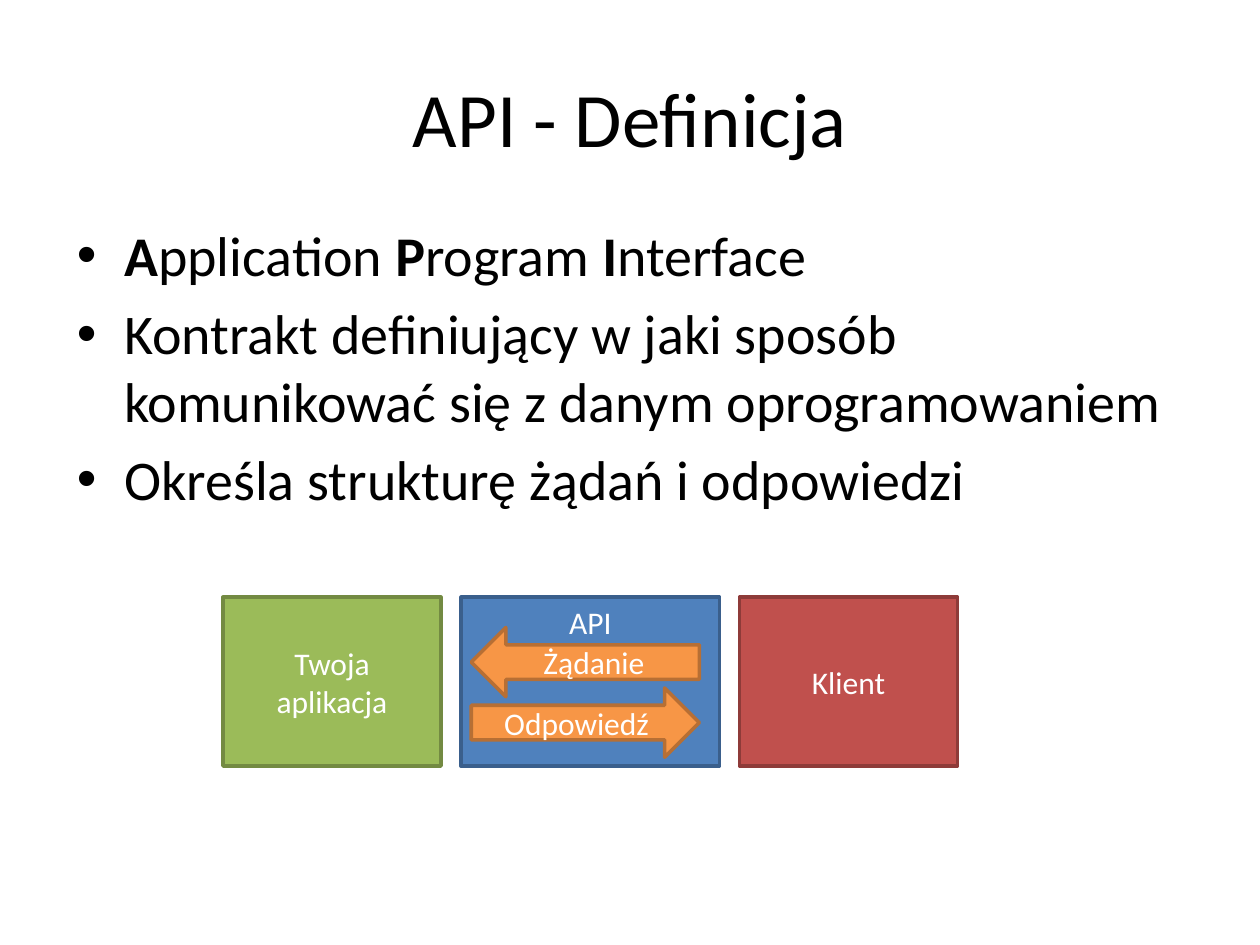
from dataclasses import dataclass

from pptx import Presentation
from pptx.dml.color import RGBColor
from pptx.enum.shapes import MSO_SHAPE
from pptx.enum.text import MSO_ANCHOR, PP_ALIGN
from pptx.util import Inches, Pt

BOX = MSO_SHAPE.FLOWCHART_PROCESS
LEFT, RIGHT = MSO_SHAPE.LEFT_ARROW, MSO_SHAPE.RIGHT_ARROW
TOP, MIDDLE = MSO_ANCHOR.TOP, MSO_ANCHOR.MIDDLE
CENTER = PP_ALIGN.CENTER


@dataclass(frozen=True)
class Theme:
    """Hold the colours and type sizes of the slide."""
    font: str = "Calibri"
    ink: str = "000000"
    light: str = "FFFFFF"
    green: tuple = ("9BBB59", "738A42")
    blue: tuple = ("4F81BD", "3A5F8C")
    red: tuple = ("C0504D", "8E3B39")
    orange: tuple = ("F79646", "B76F34")
    title: int = 44
    body: int = 32
    label: int = 18
    line: int = 2


THEME = Theme()
POINTS = [
    [("A", True), ("pplication ", False), ("P", True), ("rogram ", False),
     ("I", True), ("nterface", False)],
    [("Kontrakt definiujący w jaki sposób komunikować się z danym "
      "oprogramowaniem", False)],
    [("Określa strukturę żądań i odpowiedzi", False)],
]
ROW, HIGH, START, GAP = 4.74, 1.34, 1.77, 0.16
BOXES = [
    ("Twoja aplikacja", 1.73, THEME.green, MIDDLE),
    ("API", 2.05, THEME.blue, TOP),
    ("Klient", 1.73, THEME.red, MIDDLE),
]
ARROWS = [("Żądanie", LEFT), ("Odpowiedź", RIGHT)]
ARROW_X, ARROW_Y, ARROW_W, ARROW_H, STEP = 3.74, 4.98, 1.81, 0.55, 0.48


def apply(item, values):
    """Set attributes of an item from a dict."""
    for name, value in values.items():
        setattr(item, name, value)


def place(shape, *frame):
    """Move a shape to a frame in inches."""
    names = ("left", "top", "width", "height")
    apply(shape, dict(zip(names, map(Inches, frame))))


def write(para, text, size, color, bold=False):
    """Add a styled run to a paragraph."""
    run = para.add_run()
    run.text = text
    apply(run.font, {"name": THEME.font, "size": Pt(size), "bold": bold})
    run.font.color.rgb = RGBColor.from_string(color)


def add_title(slide, text):
    """Fill the title placeholder."""
    title = slide.shapes.title
    place(title, 0.5, 0.3, 9, 1.25)
    para = title.text_frame.paragraphs[0]
    para.alignment = CENTER
    write(para, text, THEME.title, THEME.ink)


def add_list(slide, points):
    """Fill the body placeholder with bullet points."""
    body = slide.placeholders[1]
    place(body, 0.51, 1.7, 9, 4.95)
    frame = body.text_frame
    for num, point in enumerate(points):
        para = frame.add_paragraph() if num else frame.paragraphs[0]
        for text, bold in point:
            write(para, text, THEME.body, THEME.ink, bold)


def add_part(group, kind, spot, text, colors, anchor):
    """Draw a filled shape with a centred label."""
    part = group.shapes.add_shape(kind, *map(Inches, spot))
    part.shadow.inherit = False
    fill, line = map(RGBColor.from_string, colors)
    part.fill.solid()
    part.fill.fore_color.rgb = fill
    part.line.color.rgb = line
    part.line.width = Pt(THEME.line)
    apply(part.text_frame, {"word_wrap": True, "vertical_anchor": anchor})
    para = part.text_frame.paragraphs[0]
    para.alignment = CENTER
    write(para, text, THEME.label, THEME.light)


def add_flow(slide):
    """Draw the row of boxes and the arrows on the middle one."""
    group = slide.shapes.add_group_shape()
    left = START
    for text, width, colors, anchor in BOXES:
        add_part(group, BOX, (left, ROW, width, HIGH), text, colors, anchor)
        left += width + GAP
    for num, (text, kind) in enumerate(ARROWS):
        spot = (ARROW_X, ARROW_Y + num * STEP, ARROW_W, ARROW_H)
        add_part(group, kind, spot, text, THEME.orange, MIDDLE)


def main():
    """Build and save the slide."""
    deck = Presentation()
    apply(deck, {"slide_width": Inches(10), "slide_height": Inches(7.5)})
    slide = deck.slides.add_slide(deck.slide_layouts[1])
    add_title(slide, "API - Definicja")
    add_list(slide, POINTS)
    add_flow(slide)
    deck.save("out.pptx")


if __name__ == "__main__":
    main()
